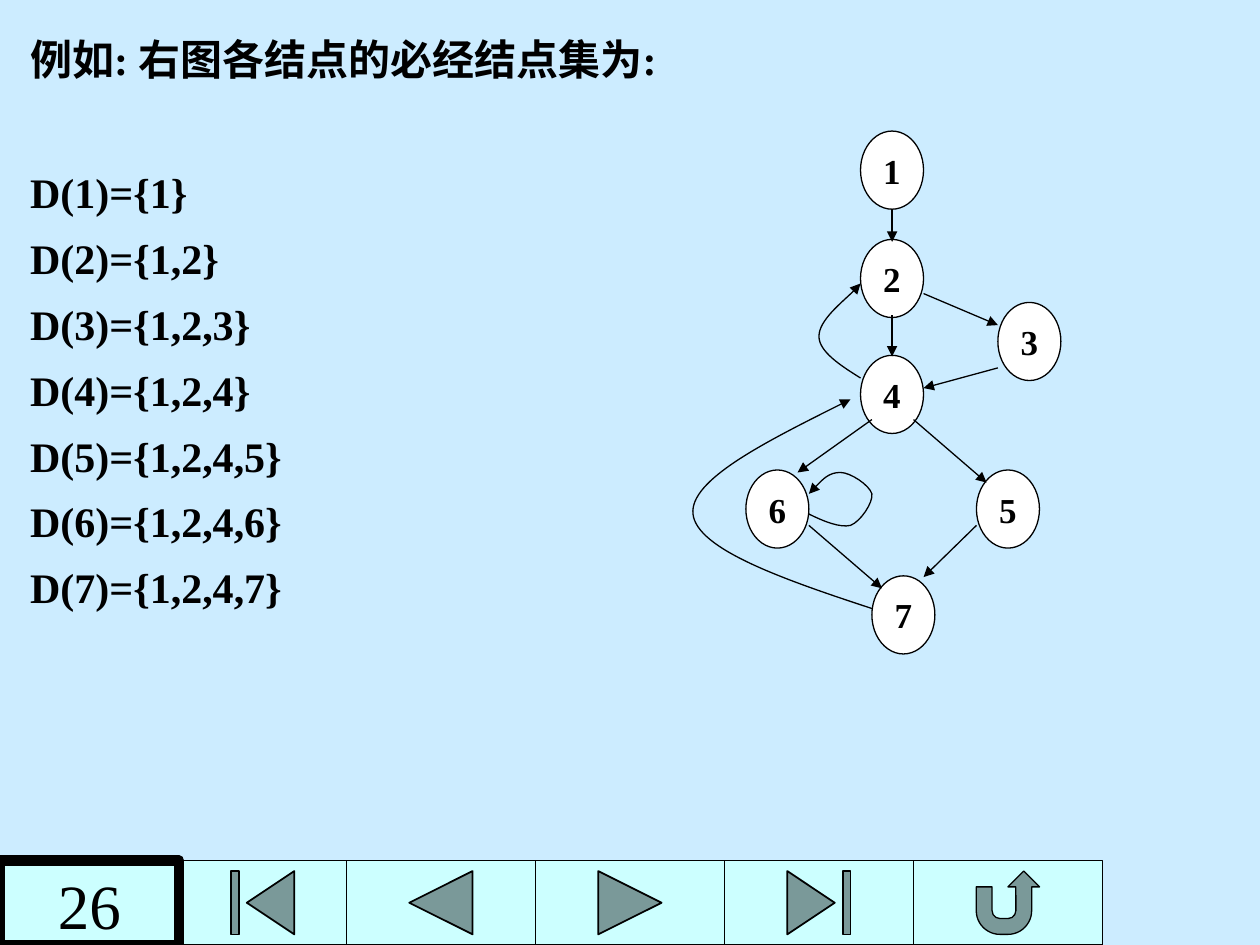
from lxml import etree
from pptx import Presentation
from pptx.dml.color import RGBColor
from pptx.enum.shapes import MSO_CONNECTOR, MSO_SHAPE
from pptx.enum.text import MSO_ANCHOR, PP_ALIGN
from pptx.oxml.ns import qn
from pptx.util import Inches, Pt

OVAL, RECTANGLE, STRAIGHT = MSO_SHAPE.OVAL, MSO_SHAPE.RECTANGLE, MSO_CONNECTOR.STRAIGHT
CENTER, TOP, MIDDLE = PP_ALIGN.CENTER, MSO_ANCHOR.TOP, MSO_ANCHOR.MIDDLE

THEME = {
    "font": "Times New Roman",
    "ink": RGBColor(0x00, 0x00, 0x00),
    "background": RGBColor(0xCC, 0xEC, 0xFF),
    "node": RGBColor(0xFF, 0xFF, 0xFF),
    "button": RGBColor(0xCC, 0xFF, 0xFF),
    "body_size": 24,
    "node_size": 20,
    "number_size": 36,
    "thin": 0.75,
    "button_line": 1,
    "number_line": 6,
}

HEADING = "例如: 右图各结点的必经结点集为:"
DOMINATORS = {
    1: "1",
    2: "1,2",
    3: "1,2,3",
    4: "1,2,4",
    5: "1,2,4,5",
    6: "1,2,4,6",
    7: "1,2,4,7",
}
NODE_SIZE = (0.5, 0.62)
NODES = {
    1: (6.83, 1.04),
    2: (6.83, 1.9),
    4: (6.83, 2.82),
    3: (7.92, 2.4),
    6: (5.92, 3.73),
    5: (7.75, 3.73),
    7: (6.92, 4.57),
}
STRAIGHT_EDGES = [
    ((7.08, 1.67), (7.08, 1.92)),
    ((7.08, 2.5), (7.08, 2.83)),
    ((7.33, 2.33), (7.92, 2.58)),
    ((7.92, 2.92), (7.33, 3.08)),
    ((6.92, 3.33), (6.33, 3.75)),
    ((7.25, 3.33), (7.83, 3.83)),
    ((6.42, 4.17), (7, 4.67)),
    ((7.75, 4.17), (7.33, 4.58)),
]
CURVED_EDGES = [
    [(6.83, 3), (6.67, 2.9), (6.5, 2.79), (6.5, 2.67),
     (6.5, 2.54), (6.78, 2.32), (6.83, 2.25)],
    [(6.42, 4.08), (6.54, 4.14), (6.67, 4.19), (6.75, 4.17),
     (6.83, 4.14), (6.93, 3.99), (6.92, 3.92),
     (6.9, 3.85), (6.75, 3.75), (6.67, 3.75),
     (6.58, 3.75), (6.5, 3.83), (6.42, 3.92)],
    [(6.92, 4.83), (6.22, 4.6), (5.53, 4.36), (5.5, 4.08),
     (5.47, 3.81), (6.11, 3.49), (6.75, 3.17)],
]
PAGE_NUMBER = "26"
NUMBER_WIDTH = 1.42
BAR_TOP, BAR_HEIGHT = 6.83, 0.67
BUTTONS = [
    (MSO_SHAPE.ACTION_BUTTON_BEGINNING, 1.33, THEME["button_line"]),
    (MSO_SHAPE.ACTION_BUTTON_BACK_OR_PREVIOUS, 1.5, THEME["button_line"]),
    (MSO_SHAPE.ACTION_BUTTON_FORWARD_OR_NEXT, 1.5, THEME["button_line"]),
    (MSO_SHAPE.ACTION_BUTTON_END, 1.5, THEME["button_line"]),
    (MSO_SHAPE.ACTION_BUTTON_RETURN, 1.5, THEME["thin"]),
]


def set_line(shape, width):
    shape.line.color.rgb = THEME["ink"]
    shape.line.width = Pt(width)


def add_arrowhead(shape):
    line = shape._element.spPr.find(qn("a:ln"))
    etree.SubElement(line, qn("a:tailEnd"), type="triangle")


def add_box(page, kind, place, fill, line_width):
    box = page.shapes.add_shape(kind, *map(Inches, place))
    box.shadow.inherit = False
    box.fill.solid()
    box.fill.fore_color.rgb = fill
    set_line(box, line_width)
    return box


def write_text(para, text, size, bold):
    span = para.add_run()
    span.text = text
    formats = {"name": THEME["font"], "size": Pt(size), "bold": bold}
    for name, value in formats.items():
        setattr(span.font, name, value)
    span.font.color.rgb = THEME["ink"]


def write_label(box, text, size, bold, anchor):
    frame = box.text_frame
    frame.word_wrap = False
    frame.vertical_anchor = anchor
    para = frame.paragraphs[0]
    para.alignment = CENTER
    write_text(para, text, size, bold)


def add_straight_edge(page, start, end):
    edge = page.shapes.add_connector(STRAIGHT, *map(Inches, start + end))
    set_line(edge, THEME["thin"])
    etree.SubElement(edge._element.spPr, qn("a:effectLst"))
    add_arrowhead(edge)


def add_curved_edge(page, points):
    scaled = [(Inches(x), Inches(y)) for x, y in points]
    builder = page.shapes.build_freeform(*scaled[0])
    builder.add_line_segments(scaled[1:], close=False)
    edge = builder.convert_to_shape()
    segments = edge._element.xpath(".//a:lnTo")
    for index in range(0, len(segments), 3):
        curve = etree.Element(qn("a:cubicBezTo"))
        segments[index].addprevious(curve)
        for segment in segments[index:index + 3]:
            curve.append(segment[0])
            segment.getparent().remove(segment)
    edge.shadow.inherit = False
    edge.fill.background()
    set_line(edge, THEME["thin"])
    add_arrowhead(edge)


def add_buttons(page):
    left = NUMBER_WIDTH
    for kind, width, line_width in BUTTONS:
        add_box(page, kind, (left, BAR_TOP, width, BAR_HEIGHT), THEME["button"], line_width)
        left += width


def add_graph(page):
    for number, position in NODES.items():
        node = add_box(page, OVAL, position + NODE_SIZE, THEME["node"], THEME["thin"])
        write_label(node, str(number), THEME["node_size"], True, MIDDLE)
    for start, end in STRAIGHT_EDGES:
        add_straight_edge(page, start, end)
    for points in CURVED_EDGES:
        add_curved_edge(page, points)


def add_dominator_list(page):
    box = page.shapes.add_textbox(*map(Inches, (0.14, 0.18, 5.42, 5.25)))
    frame = box.text_frame
    frame.word_wrap = False
    lines = [HEADING] + [f"D({node})={{{members}}}" for node, members in DOMINATORS.items()]
    gaps = [0, 44] + [6] * (len(lines) - 2)
    for index, (text, gap) in enumerate(zip(lines, gaps)):
        para = frame.add_paragraph() if index else frame.paragraphs[0]
        para.line_spacing = 1.1
        para.space_before = Pt(gap)
        write_text(para, text, THEME["body_size"], True)


def add_page_number(page):
    place = (0, BAR_TOP, NUMBER_WIDTH, BAR_HEIGHT)
    box = add_box(page, RECTANGLE, place, THEME["button"], THEME["number_line"])
    write_label(box, PAGE_NUMBER, THEME["number_size"], False, TOP)


def main():
    deck = Presentation()
    deck.slide_width, deck.slide_height = Inches(10), Inches(7.5)
    page = deck.slides.add_slide(deck.slide_layouts[6])
    page.background.fill.solid()
    page.background.fill.fore_color.rgb = THEME["background"]
    add_buttons(page)
    add_graph(page)
    add_dominator_list(page)
    add_page_number(page)
    deck.save("out.pptx")


if __name__ == "__main__":
    main()
